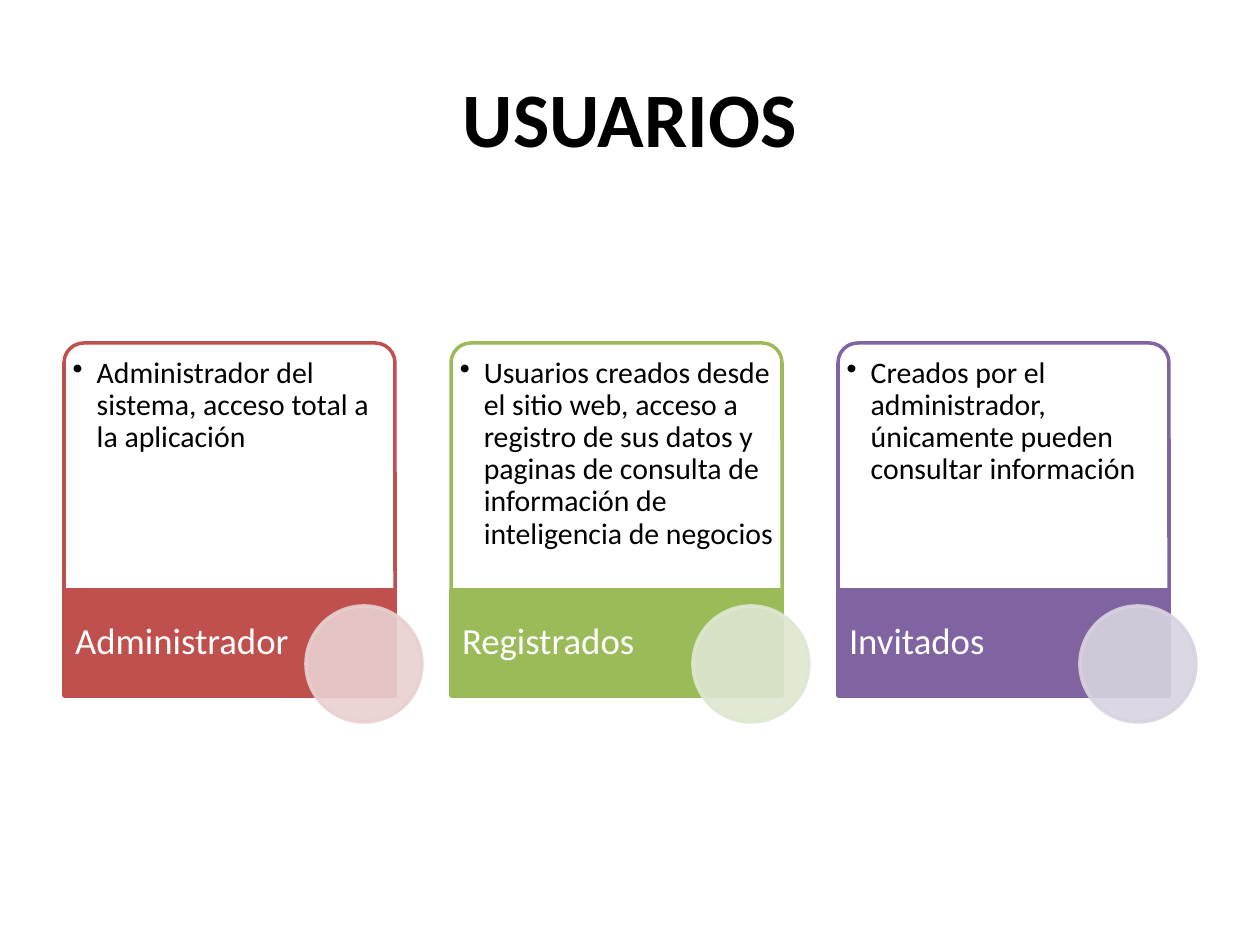
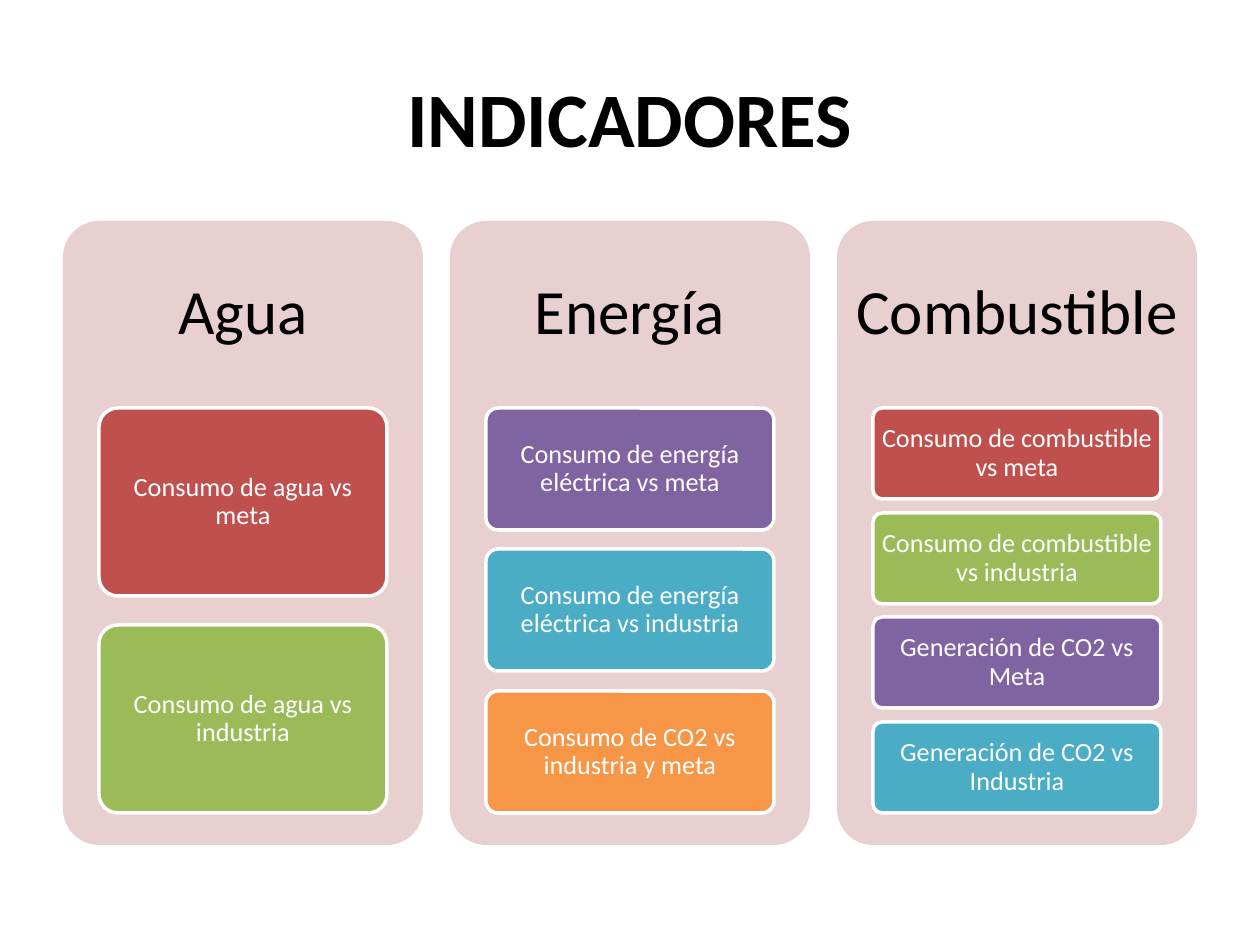
import pptx
import pptx.util
import pptx.dml.color
import pptx.enum.shapes
import pptx.enum.text
import pptx.oxml.ns
import lxml.etree

RGB = pptx.dml.color.RGBColor
KIND = pptx.enum.shapes.MSO_SHAPE
ALIGN = pptx.enum.text.PP_ALIGN
ANCHOR = pptx.enum.text.MSO_ANCHOR

BLACK = RGB(0x00, 0x00, 0x00)
WHITE = RGB(0xFF, 0xFF, 0xFF)
RED = RGB(0xC0, 0x50, 0x4D)
GREEN = RGB(0x9B, 0xBB, 0x59)
PURPLE = RGB(0x80, 0x64, 0xA2)
TEAL = RGB(0x4B, 0xAC, 0xC6)
ORANGE = RGB(0xF7, 0x96, 0x46)
ROSE = RGB(0xE8, 0xD0, 0xD0)
LIME = RGB(0xDE, 0xE7, 0xD1)
LILAC = RGB(0xD8, 0xD3, 0xE0)

FONT = "Calibri"
SCALE = 914400 / 126
LEFT = 63
STEP = 387

USERS = [
    ("Administrador", RED, ROSE,
     "Administrador del sistema, acceso total a la aplicación"),
    ("Registrados", GREEN, LIME,
     "Usuarios creados desde el sitio web, acceso a registro de sus datos y "
     "paginas de consulta de información de inteligencia de negocios"),
    ("Invitados", PURPLE, LILAC,
     "Creados por el administrador, únicamente pueden consultar información"),
]

GROUPS = [
    ("Agua", [
        ("Consumo de agua vs meta", RED),
        ("Consumo de agua vs industria", GREEN),
    ]),
    ("Energía", [
        ("Consumo de energía eléctrica vs meta", PURPLE),
        ("Consumo de energía eléctrica vs industria", TEAL),
        ("Consumo de CO2 vs industria y meta", ORANGE),
    ]),
    ("Combustible", [
        ("Consumo de combustible vs meta", RED),
        ("Consumo de combustible vs industria", GREEN),
        ("Generación de CO2 vs Meta", PURPLE),
        ("Generación de CO2 vs Industria", TEAL),
    ]),
]


def px(size):
    return pptx.util.Emu(round(size * SCALE))


def write(shape, text, size, color, pads, align=ALIGN.CENTER,
          anchor=ANCHOR.MIDDLE, bold=False, space=0.9):
    frame = shape.text_frame
    frame.word_wrap = True
    frame.vertical_anchor = anchor
    (frame.margin_left, frame.margin_top,
     frame.margin_right, frame.margin_bottom) = map(px, pads)
    para = frame.paragraphs[0]
    para.alignment = align
    para.line_spacing = space
    run = para.add_run()
    run.text = text
    run.font.name = FONT
    run.font.size = pptx.util.Pt(size)
    run.font.bold = bold
    run.font.color.rgb = color
    return para


def bullet(para, indent):
    props = para._p.get_or_add_pPr()
    props.set("marL", str(px(indent)))
    props.set("indent", str(-px(indent)))
    mark = lxml.etree.SubElement(props, pptx.oxml.ns.qn("a:buChar"))
    mark.set("char", "•")


def block(slide, kind, box, fill, line=None, bends=()):
    shape = slide.shapes.add_shape(kind, *map(px, box))
    shape.shadow.inherit = False
    shape.fill.solid()
    shape.fill.fore_color.rgb = fill
    if line is None:
        shape.line.fill.background()
    else:
        shape.line.color.rgb = line
        shape.line.width = pptx.util.Pt(2)
    for index, bend in enumerate(bends):
        shape.adjustments[index] = bend
    return shape


def fade(shape, share):
    for color in shape._element.spPr.iter(pptx.oxml.ns.qn("a:srgbClr")):
        alpha = lxml.etree.SubElement(color, pptx.oxml.ns.qn("a:alpha"))
        alpha.set("val", str(share * 1000))


def page(deck, text):
    slide = deck.slides.add_slide(deck.slide_layouts[5])
    title = slide.shapes.title
    title.left, title.top, title.width, title.height = map(
        px, (63, 38, 1134, 157))
    write(title, text, 44, BLACK, (13, 6, 13, 6), bold=True, space=1.0)
    return slide


def card(slide, left, name, color, tint, text):
    body = block(slide, KIND.ROUND_2_SAME_RECTANGLE, (left, 343, 331, 247),
                 WHITE, color, (0.08, 0))
    para = write(body, text, 17, BLACK, (3, 9, 3, 3), ALIGN.LEFT, ANCHOR.TOP)
    bullet(para, 24)
    band = block(slide, KIND.RECTANGLE, (left, 590, 331, 106), color, color)
    write(band, name, 21, WHITE, (11, 0, 102, 0), ALIGN.LEFT)
    disc = block(slide, KIND.OVAL, (left + 242, 606, 116, 116), tint, tint)
    fade(disc, 90)


def panel(slide, left, name, items):
    block(slide, KIND.ROUNDED_RECTANGLE, (left, 221, 360, 624), ROSE,
          bends=(0.1,))
    head = slide.shapes.add_textbox(*map(px, (left, 221, 360, 187)))
    write(head, name, 36, BLACK, (19, 19, 19, 19))
    ratio = 2 / 13
    count = len(items)
    high = 405 / (count + (count - 1) * ratio)
    for row, (text, color) in enumerate(items):
        top = round(408 + row * high * (1 + ratio))
        cell = block(slide, KIND.ROUNDED_RECTANGLE,
                     (left + 36, top, 288, round(high)), color, WHITE, (0.1,))
        write(cell, text, 15, WHITE, (5, 4, 5, 4))


def main():
    deck = pptx.Presentation()
    deck.slide_width, deck.slide_height = px(1260), px(945)
    users = page(deck, "USUARIOS")
    for col, user in enumerate(USERS):
        card(users, LEFT + 1 + col * STEP, *user)
    goals = page(deck, "INDICADORES")
    for col, group in enumerate(GROUPS):
        panel(goals, LEFT + col * STEP, *group)
    deck.save("out.pptx")


if __name__ == "__main__":
    main()
